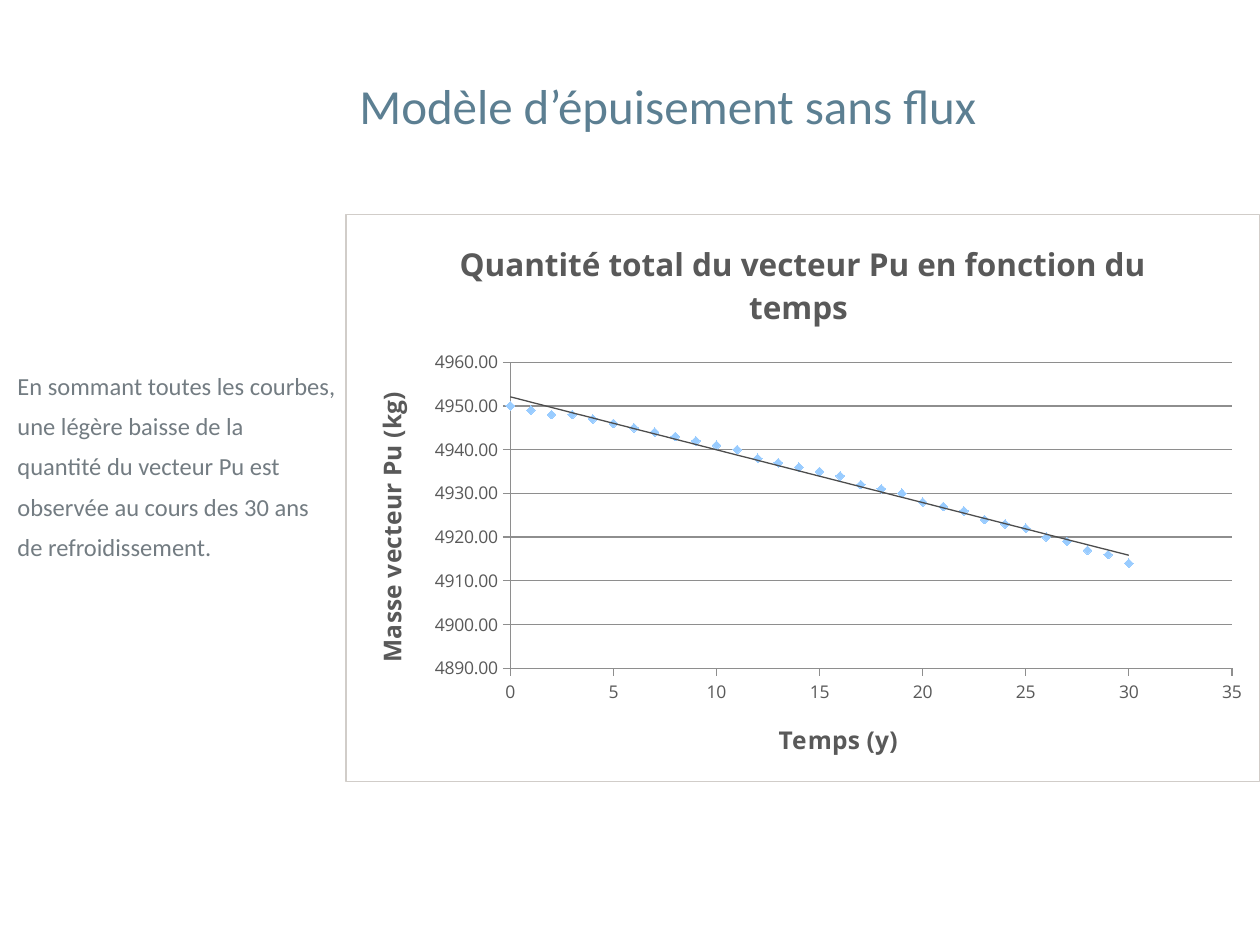
from lxml import etree
from pptx import Presentation
from pptx.chart.data import XyChartData
from pptx.dml.color import RGBColor
from pptx.enum.chart import XL_CHART_TYPE, XL_MARKER_STYLE, XL_TICK_MARK
from pptx.enum.text import MSO_ANCHOR, PP_ALIGN
from pptx.oxml import parse_xml
from pptx.oxml.ns import nsdecls, qn
from pptx.util import Inches, Pt

SCATTER = XL_CHART_TYPE.XY_SCATTER
DIAMOND = XL_MARKER_STYLE.DIAMOND
TICK_OUTSIDE, TICK_NONE = XL_TICK_MARK.OUTSIDE, XL_TICK_MARK.NONE
MIDDLE, TOP = MSO_ANCHOR.MIDDLE, MSO_ANCHOR.TOP
CENTER, LEFT = PP_ALIGN.CENTER, PP_ALIGN.LEFT

TITLE = "Modèle d’épuisement sans flux"
COMMENTARY = [
    "En sommant toutes les courbes,",
    "une légère baisse de la",
    "quantité du vecteur Pu est",
    "observée au cours des 30 ans",
    "de refroidissement.",
]
CHART_TITLE = "Quantité total du vecteur Pu en fonction du temps "
TIME_TITLE = "Temps (y)"
MASS_TITLE = "Masse vecteur Pu (kg)"
MASSES = [
    4950, 4949, 4948, 4948, 4947, 4946, 4945, 4944,
    4943, 4942, 4941, 4940, 4938, 4937, 4936, 4935,
    4934, 4932, 4931, 4930, 4928, 4927, 4926, 4924,
    4923, 4922, 4920, 4919, 4917, 4916, 4914,
]
PLOT_AREA = {"x": 0.18, "y": 0.26, "w": 0.79, "h": 0.54}

THEME = {
    "text_font": "Calibri", "chart_font": "Open Sans",
    "title": "5C7F92", "body": "737C82", "chart_text": "595959",
    "marker": "99CCFF", "trend": "4D4D4D", "axis": "8E8E8E",
    "border": "D1CDC9", "white": "FFFFFF",
    "title_size": 28, "body_size": 14, "chart_title_size": 18,
    "axis_title_size": 14, "tick_size": 10,
}


def color(name):
    return RGBColor.from_string(THEME[name])


def style_font(font, family, size, color_name, bold=False):
    font.name = THEME[family]
    font.size = Pt(THEME[size])
    font.color.rgb = color(color_name)
    font.bold = bold


def add_text(page, place, lines, role, alignment, anchor):
    box = page.shapes.add_textbox(*map(Inches, place))
    frame = box.text_frame
    frame.word_wrap = False
    frame.vertical_anchor = anchor
    frame.text = "\n".join(lines)
    for para in frame.paragraphs:
        para.alignment = alignment
        for span in para.runs:
            style_font(span.font, "text_font", f"{role}_size", role)
    return frame


def set_chart_title(holder, text, size):
    frame = holder.text_frame
    frame.text = text
    style_font(frame.paragraphs[0].runs[0].font, "chart_font", size, "chart_text", True)


def style_axis(axis, title, limits, step, number_format):
    axis.minimum_scale, axis.maximum_scale = limits
    axis.major_unit = step
    axis.major_tick_mark = TICK_OUTSIDE
    axis.minor_tick_mark = TICK_NONE
    axis.tick_labels.number_format = number_format
    axis.tick_labels.number_format_is_linked = False
    axis.format.line.color.rgb = color("axis")
    axis.format.line.width = Pt(0.75)
    set_chart_title(axis.axis_title, title, "axis_title_size")


def outline_xml(tag, color_name):
    return (
        f'<c:{tag} {nsdecls("c", "a")}><a:ln w="{Pt(0.75)}"><a:solidFill>'
        f'<a:srgbClr val="{THEME[color_name]}"/></a:solidFill></a:ln></c:{tag}>'
    )


def add_trendline(series):
    trendline = parse_xml(
        f'<c:trendline {nsdecls("c", "a")}>{outline_xml("spPr", "trend")}'
        '<c:trendlineType val="exp"/><c:dispRSqr val="0"/><c:dispEq val="0"/></c:trendline>'
    )
    series._element.find(qn("c:xVal")).addprevious(trendline)


def place_plot(chart):
    plot_area = chart._chartSpace.chart.plotArea
    for old in plot_area.findall(qn("c:layout")):
        plot_area.remove(old)
    layout = etree.Element(qn("c:layout"))
    manual = etree.SubElement(layout, qn("c:manualLayout"))
    settings = {"layoutTarget": "inner", "xMode": "edge", "yMode": "edge", **PLOT_AREA}
    for name, value in settings.items():
        etree.SubElement(manual, qn(f"c:{name}")).set("val", str(value))
    plot_area.insert(0, layout)


def add_mass_chart(page):
    data = XyChartData()
    points = data.add_series("Series 1")
    for year, mass in enumerate(MASSES):
        points.add_data_point(year, mass)
    place = map(Inches, (2.74, 1.7, 7.26, 4.51))
    chart = page.shapes.add_chart(SCATTER, *place, data).chart
    style_font(chart.font, "chart_font", "tick_size", "chart_text")
    chart.has_legend = False
    set_chart_title(chart.chart_title, CHART_TITLE, "chart_title_size")
    chart.chart_title.include_in_layout = False

    style_axis(chart.category_axis, TIME_TITLE, (0, 35), 5, "0")
    style_axis(chart.value_axis, MASS_TITLE, (4890, 4960), 10, "0.00")
    chart.category_axis.has_major_gridlines = False
    gridline = chart.value_axis.major_gridlines.format.line
    gridline.color.rgb = color("axis")
    gridline.width = Pt(0.75)

    chart.plots[0].vary_by_categories = False
    series = chart.plots[0].series[0]
    series.smooth = False
    series.format.line.fill.background()
    series.marker.style = DIAMOND
    series.marker.size = 5
    series.marker.format.fill.solid()
    series.marker.format.fill.fore_color.rgb = color("marker")
    series.marker.format.line.fill.background()
    add_trendline(series)
    place_plot(chart)
    chart._chartSpace.chart.addnext(parse_xml(outline_xml("spPr", "border")))


def main():
    deck = Presentation()
    deck.slide_width, deck.slide_height = Inches(10), Inches(7.5)
    page = deck.slides.add_slide(deck.slide_layouts[6])
    page.background.fill.solid()
    page.background.fill.fore_color.rgb = color("white")

    heading = add_text(page, (1.1, 0.21, 8.4, 1.25), [TITLE], "title", CENTER, MIDDLE)
    heading.margin_left = heading.margin_right = 0
    heading.margin_top = heading.margin_bottom = 0
    add_mass_chart(page)
    commentary = add_text(page, (0.04, 2.85, 2.75, 1.7), COMMENTARY, "body", LEFT, TOP)
    for para in commentary.paragraphs:
        para.line_spacing = 1.2
        para.space_before = Pt(2.8)

    deck.save("out.pptx")


if __name__ == "__main__":
    main()
